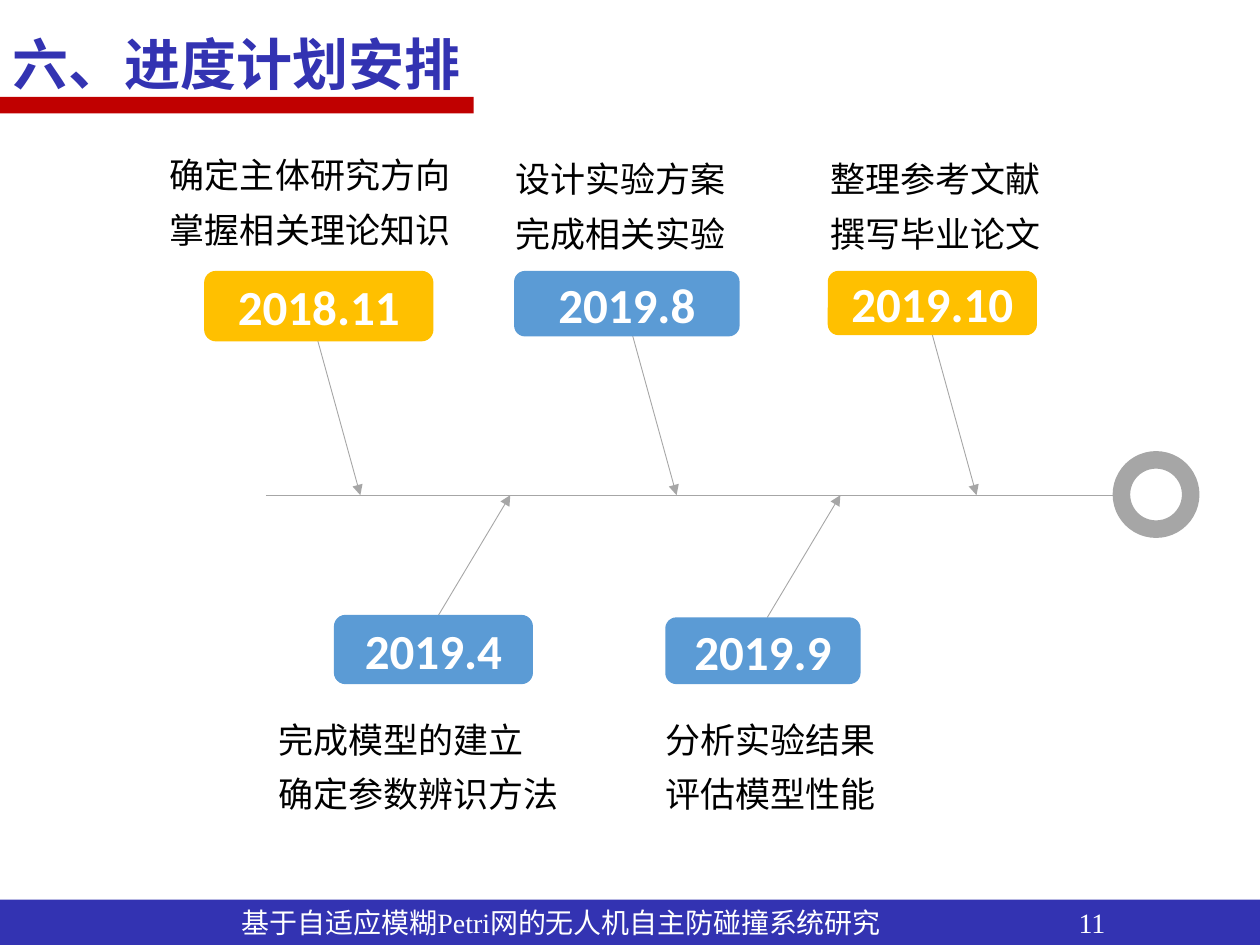
from lxml import etree
from pptx import Presentation
from pptx.dml.color import RGBColor
from pptx.enum.shapes import MSO_CONNECTOR as CONNECTOR, MSO_SHAPE as SHAPE
from pptx.enum.text import MSO_ANCHOR as ANCHOR, MSO_AUTO_SIZE as AUTO_SIZE, PP_ALIGN as ALIGN
from pptx.oxml.ns import qn
from pptx.util import Inches, Pt

COLORS = {
    "navy": "3333B2", "red": "C00000", "gold": "FFC000", "blue": "5B9BD5",
    "gray": "A6A6A6", "white": "FFFFFF", "black": "000000",
}
CJK_FONT = "Noto Sans CJK SC"
AXIS_Y = 3.93

# Per milestone: date, colour, box (left, top, width, height), arrow start x,
# note (left, top, width), note alignment, note lines
UPPER = [
    ("2018.11", "gold", (1.62, 2.15, 1.82, 0.56), 2.51, (1.25, 1.07, 2.51),
     ALIGN.LEFT, ["确定主体研究方向", "掌握相关理论知识"]),
    ("2019.8", "blue", (4.08, 2.15, 1.79, 0.52), 5.02, (3.93, 1.1, 1.93),
     ALIGN.RIGHT, ["设计实验方案", "完成相关实验"]),
    ("2019.10", "gold", (6.57, 2.15, 1.66, 0.51), 7.4, (6.43, 1.1, 1.93),
     ALIGN.RIGHT, ["整理参考文献", "撰写毕业论文"]),
]
LOWER = [
    ("2019.4", "blue", (2.65, 4.88, 1.58, 0.55), 3.47, (2.11, 5.55, 2.46),
     ALIGN.LEFT, ["完成模型的建立", "确定参数辨识方法"]),
    ("2019.9", "blue", (5.28, 4.9, 1.55, 0.53), 6.09, (5.12, 5.55, 1.93),
     ALIGN.RIGHT, ["分析实验结果", "评估模型性能"]),
]


def rgb(name):
    return RGBColor.from_string(COLORS[name])


def format_text(text_frame, size, color, font=CJK_FONT, bold=False,
                align=ALIGN.LEFT, spacing=1.0):
    for paragraph in text_frame.paragraphs:
        paragraph.alignment = align
        paragraph.line_spacing = spacing
        for run in paragraph.runs:
            run.font.size = Pt(size)
            run.font.bold = bold
            run.font.name = font
            run.font.color.rgb = rgb(color)
            # East Asian characters take their own typeface
            east_asian = etree.SubElement(run.font._element, qn("a:ea"))
            east_asian.set("typeface", CJK_FONT)


def add_block(slide, kind, box, color):
    shape = slide.shapes.add_shape(kind, *map(Inches, box))
    shape.shadow.inherit = False
    shape.fill.solid()
    shape.fill.fore_color.rgb = rgb(color)
    shape.line.fill.background()
    return shape


def add_line(slide, start, end, arrow=False):
    line = slide.shapes.add_connector(CONNECTOR.STRAIGHT, *map(Inches, start + end))
    line.line.color.rgb = rgb("gray")
    line.line.width = Pt(0.5)
    properties = line._element.spPr
    if arrow:
        tail = etree.SubElement(properties.find(qn("a:ln")), qn("a:tailEnd"))
        tail.set("type", "triangle")
    etree.SubElement(properties, qn("a:effectLst"))


def add_note(slide, position, align, lines):
    left, top, width = position
    note = slide.shapes.add_textbox(Inches(left), Inches(top), Inches(width), Inches(0.91))
    note.text_frame.word_wrap = True
    note.text_frame.text = "\n".join(lines)
    format_text(note.text_frame, 20, "black", align=align, spacing=1.3)


def add_milestone(slide, milestone, arrow_y, arrow_shift):
    date, color, box, arrow_x, note_position, align, lines = milestone
    add_line(slide, (arrow_x, arrow_y), (arrow_x + arrow_shift, AXIS_Y), arrow=True)
    label = add_block(slide, SHAPE.ROUNDED_RECTANGLE, box, color)
    label.text_frame.text = date
    label.text_frame.vertical_anchor = ANCHOR.MIDDLE
    format_text(label.text_frame, 28, "white", "Calibri", bold=True, align=ALIGN.CENTER)
    add_note(slide, note_position, align, lines)


def add_timeline(slide):
    add_line(slide, (2.11, AXIS_Y), (8.9, AXIS_Y))
    ring = add_block(slide, SHAPE.OVAL, (8.9, 3.65, 0.55, 0.55), "white")
    ring.line.color.rgb = rgb("gray")
    ring.line.width = Pt(10)
    for milestone in UPPER:
        add_milestone(slide, milestone, 2.66, 0.35)
    for milestone in LOWER:
        add_milestone(slide, milestone, 4.9, 0.58)


def set_title(slide, text):
    add_block(slide, SHAPE.RECTANGLE, (0, 0.77, 3.76, 0.13), "red")
    title = slide.shapes.title
    title.left, title.top, title.width, title.height = map(Inches, (0, -0.08, 4.71, 0.91))
    title.text_frame.text = text
    title.text_frame.auto_size = AUTO_SIZE.NONE
    title.text_frame.vertical_anchor = ANCHOR.TOP
    format_text(title.text_frame, 32, "navy", bold=True, spacing=1.5)


def add_footer(slide, text, number):
    bar = add_block(slide, SHAPE.RECTANGLE, (0, 7.14, 10, 0.36), "navy")
    frame = bar.text_frame
    frame.margin_left = Inches(1.92)
    frame.vertical_anchor = ANCHOR.MIDDLE
    frame.text = f"{text}\t{number}"
    format_text(frame, 16, "white", "Times New Roman")
    # Tab stop that places the page number
    tabs = etree.SubElement(frame.paragraphs[0]._p.get_or_add_pPr(), qn("a:tabLst"))
    etree.SubElement(tabs, qn("a:tab"), pos=str(Inches(6.64)), algn="l")


def main():
    presentation = Presentation()
    presentation.slide_width, presentation.slide_height = Inches(10), Inches(7.5)
    slide = presentation.slides.add_slide(presentation.slide_layouts[5])
    add_timeline(slide)
    set_title(slide, "六、进度计划安排")
    add_footer(slide, "基于自适应模糊Petri网的无人机自主防碰撞系统研究", 11)
    presentation.save("out.pptx")


if __name__ == "__main__":
    main()
